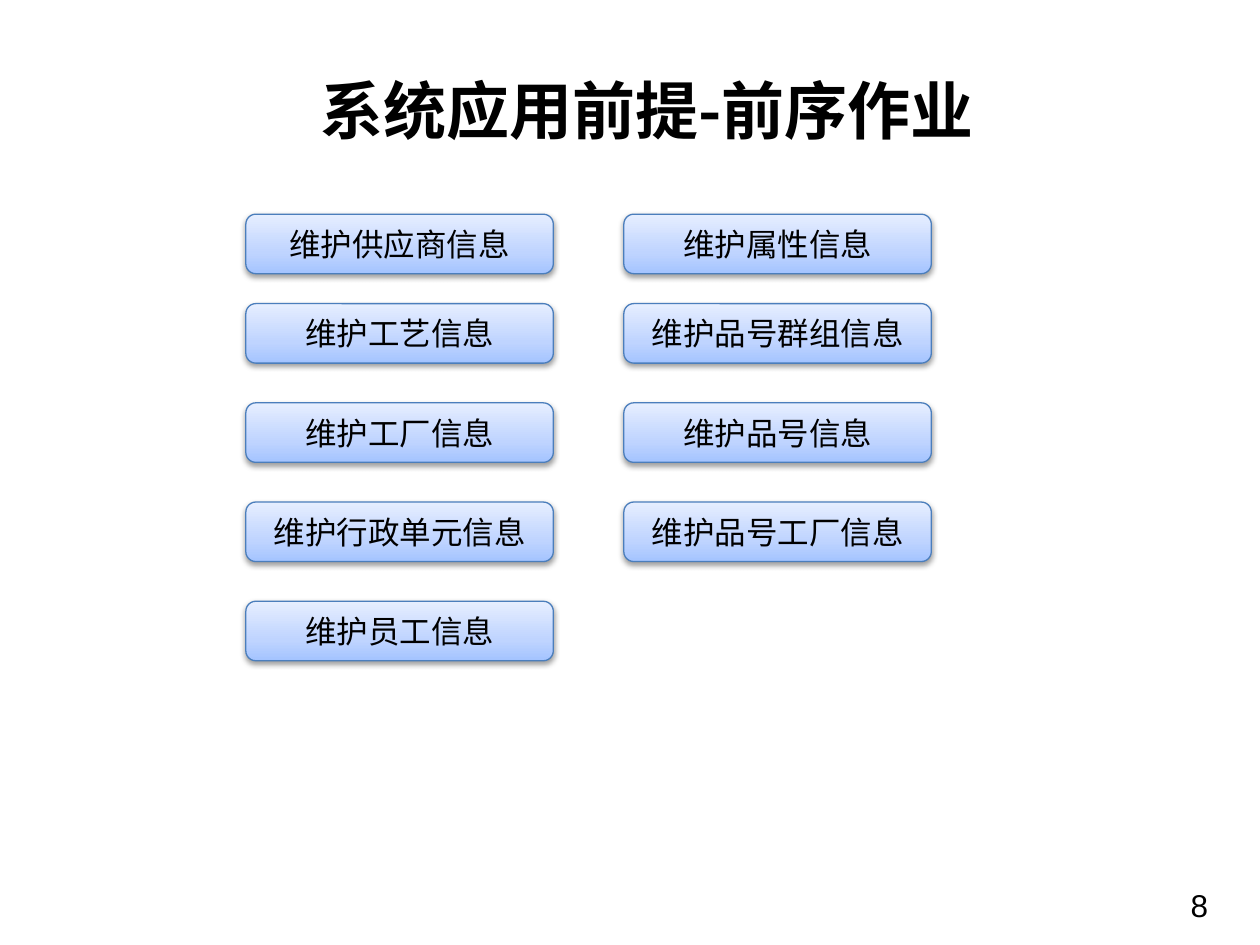
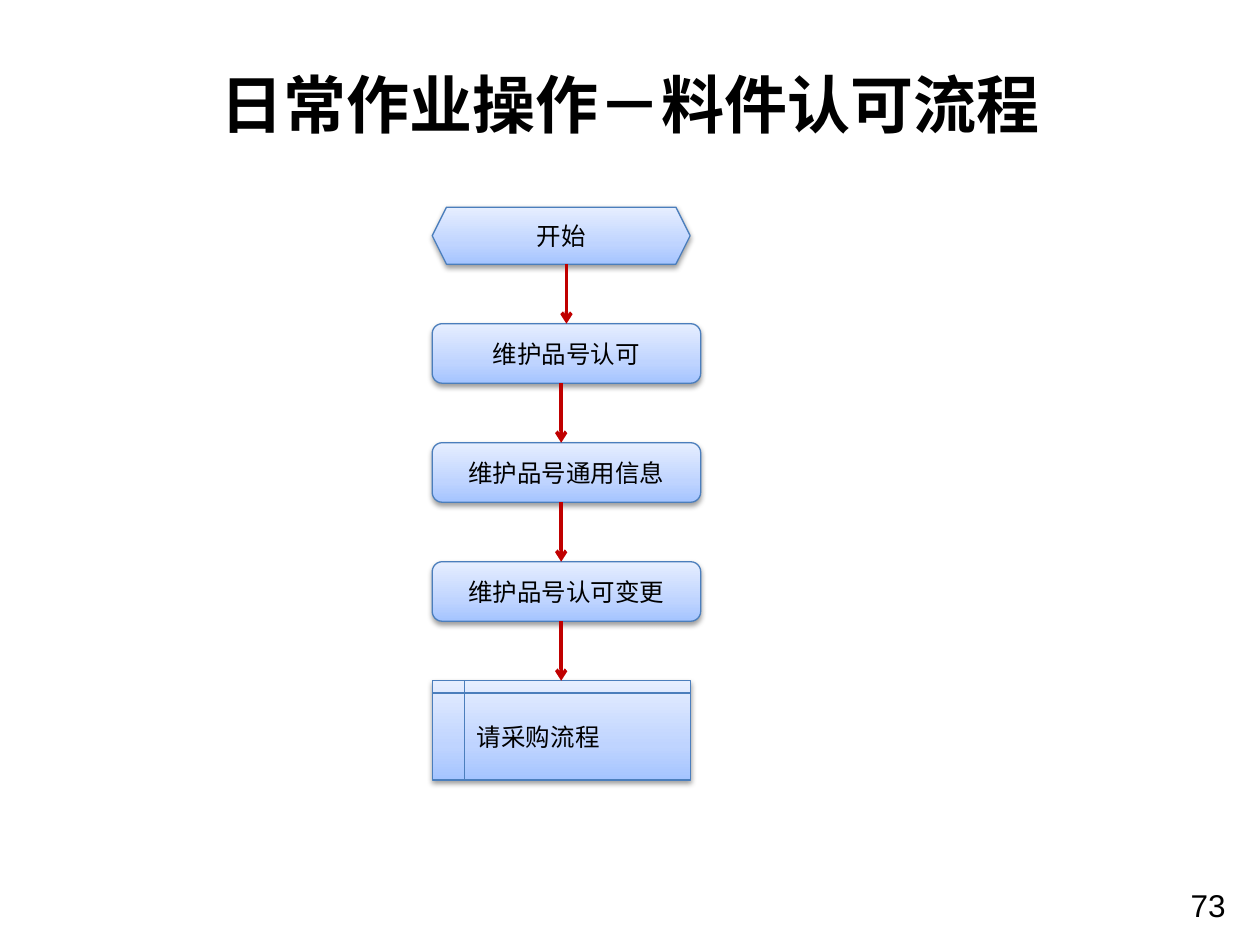
import copy

import pptx
import pptx.dml.color
import pptx.enum.shapes
import pptx.enum.text
import pptx.oxml
import pptx.oxml.ns
import pptx.util

Pt = pptx.util.Pt
RGBColor = pptx.dml.color.RGBColor
Shapes = pptx.enum.shapes.MSO_SHAPE
Align = pptx.enum.text.PP_ALIGN
Anchor = pptx.enum.text.MSO_ANCHOR
qn = pptx.oxml.ns.qn

BLACK = RGBColor(0x00, 0x00, 0x00)
BLOCK_EDGE = RGBColor(0x4B, 0x7E, 0xBC)
ARROW_RED = RGBColor(0xC0, 0x00, 0x00)
BLOCK_GRADIENT = [
    (0, RGBColor(0xA4, 0xC4, 0xFF)),
    (0.35, RGBColor(0xBF, 0xD4, 0xFF)),
    (1, RGBColor(0xE6, 0xEE, 0xFF)),
]
CJK_SC = "Noto Sans CJK SC"
CJK_TC = "Noto Sans CJK TC"
BLOCK_SHADOW = (
    f'<a:outerShdw {pptx.oxml.ns.nsdecls("a")} blurRad="40000" dist="20000" '
    'dir="5400000" rotWithShape="0"><a:srgbClr val="000000">'
    '<a:alpha val="38000"/></a:srgbClr></a:outerShdw>'
)


def write_text(shape, text, size, font=CJK_SC, east_asian=CJK_SC, bold=False,
               align=Align.CENTER, anchor=Anchor.TOP, wrap=True):
    frame = shape.text_frame
    frame.word_wrap = wrap
    frame.vertical_anchor = anchor
    paragraph = frame.paragraphs[0]
    paragraph.alignment = align
    run = paragraph.add_run()
    run.text = text
    run.font.size = Pt(size)
    run.font.bold = bold
    run.font.name = font
    run.font.color.rgb = BLACK
    properties = run._r.get_or_add_rPr()
    properties.append(properties.makeelement(qn("a:ea"), {"typeface": east_asian}))


def add_block(slide, preset, left, top, width, height, text, **text_format):
    """Add a labelled shape with the shared gradient, edge and shadow."""
    block = slide.shapes.add_shape(preset, Pt(left), Pt(top), Pt(width), Pt(height))
    block.fill.gradient()
    block.fill.gradient_angle = 90
    stop_list = block._element.spPr.find(".//" + qn("a:gsLst"))
    stop_list.append(copy.deepcopy(stop_list[0]))
    for stop, (position, color) in zip(block.fill.gradient_stops, BLOCK_GRADIENT):
        stop.position = position
        stop.color.rgb = color
    block.line.color.rgb = BLOCK_EDGE
    block.line.width = Pt(0.75)
    block.shadow.inherit = False
    effects = block._element.spPr.find(qn("a:effectLst"))
    effects.append(pptx.oxml.parse_xml(BLOCK_SHADOW))
    write_text(block, text, anchor=Anchor.MIDDLE, **text_format)
    return block


deck = pptx.Presentation()
deck.slide_width = Pt(720)
deck.slide_height = Pt(540)

# Title and page number of each slide
pages = [
    ("系统应用前提-前序作业", CJK_SC, (22.3, 37.4, 694.8, 51.1), "8"),
    ("日常作业操作－料件认可流程", CJK_TC, (0, 33.8, 720, 53.3), "73"),
]
slides = []
for heading, heading_font, heading_area, page_number in pages:
    slide = deck.slides.add_slide(deck.slide_layouts[6])
    title = slide.shapes.add_textbox(*map(Pt, heading_area))
    write_text(title, heading, 36, font=heading_font, east_asian=heading_font, bold=True)
    title.text_frame.auto_size = pptx.enum.text.MSO_AUTO_SIZE.SHAPE_TO_FIT_TEXT
    number = slide.shapes.add_textbox(Pt(673.2), Pt(502.6), Pt(56.9), Pt(37.4))
    write_text(number, page_number, 18, font="Arial", align=Align.LEFT)
    slides.append(slide)
prerequisites, approval = slides

# Prerequisite tasks in two columns
BLOCK_HEIGHT = 34
row_tops = [122.4] + [173.5 + 56.7 * row for row in range(4)]
task_columns = [
    ["维护供应商信息", "维护工艺信息", "维护工厂信息", "维护行政单元信息", "维护员工信息"],
    ["维护属性信息", "维护品号群组信息", "维护品号信息", "维护品号工厂信息"],
]
for column, tasks in enumerate(task_columns):
    for top, task in zip(row_tops, tasks):
        add_block(prerequisites, Shapes.ROUNDED_RECTANGLE, 140.5 + 216 * column, top,
                  175.7, BLOCK_HEIGHT, task, size=18, font="Calibri")

# Approval flow from top to bottom
FLOW_LEFT = 247
END_WIDTH = 147.4
STEP_WIDTH = 153.4
STEP_TOP = 185
STEP_PITCH = 2 * BLOCK_HEIGHT
steps = ["维护品号认可", "维护品号通用信息", "维护品号认可变更"]

add_block(approval, Shapes.HEXAGON, FLOW_LEFT, 118.4, END_WIDTH, 32.6, "开始",
          size=14, wrap=False)
step_blocks = [
    add_block(approval, Shapes.ROUNDED_RECTANGLE, FLOW_LEFT, STEP_TOP + STEP_PITCH * index,
              STEP_WIDTH, BLOCK_HEIGHT, step, size=14, wrap=False)
    for index, step in enumerate(steps)
]
purchase = add_block(approval, Shapes.FLOWCHART_INTERNAL_STORAGE, FLOW_LEFT,
                     STEP_TOP + STEP_PITCH * len(steps), END_WIDTH, 56.7, "请采购流程",
                     size=14, font="Calibri", align=Align.LEFT)

for index in range(len(steps) + 1):
    arrow_x = FLOW_LEFT + (END_WIDTH if index else STEP_WIDTH) / 2
    arrow_end = STEP_TOP + STEP_PITCH * index
    arrow = approval.shapes.add_connector(
        pptx.enum.shapes.MSO_CONNECTOR.STRAIGHT,
        Pt(arrow_x), Pt(arrow_end - BLOCK_HEIGHT), Pt(arrow_x), Pt(arrow_end))
    if index == 0:
        arrow.end_connect(step_blocks[0], 0)
    elif index == len(steps):
        arrow.end_connect(purchase, 0)
    arrow.line.color.rgb = ARROW_RED
    arrow.line.width = Pt(2)
    outline = arrow._element.spPr.find(qn("a:ln"))
    outline.append(outline.makeelement(qn("a:tailEnd"), {"type": "arrow"}))
    arrow._element.spPr.append(outline.makeelement(qn("a:effectLst"), {}))

deck.save("out.pptx")
